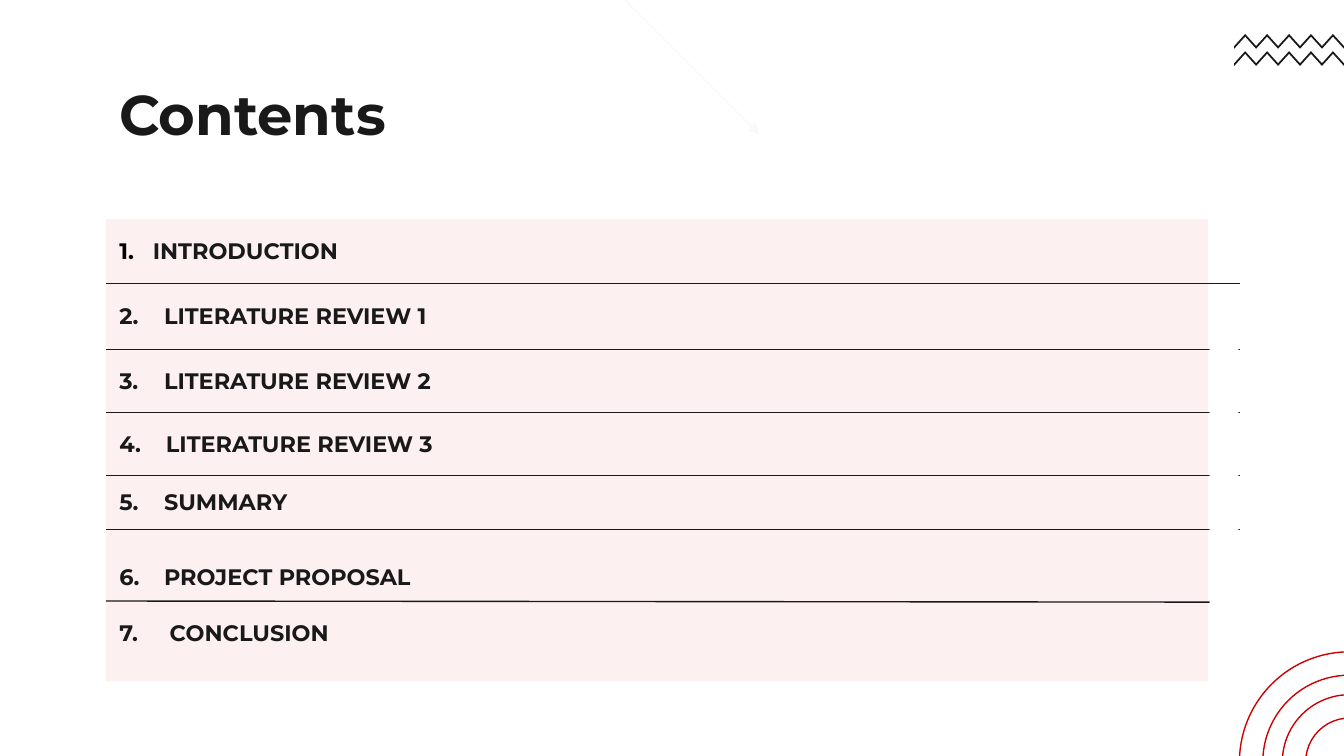
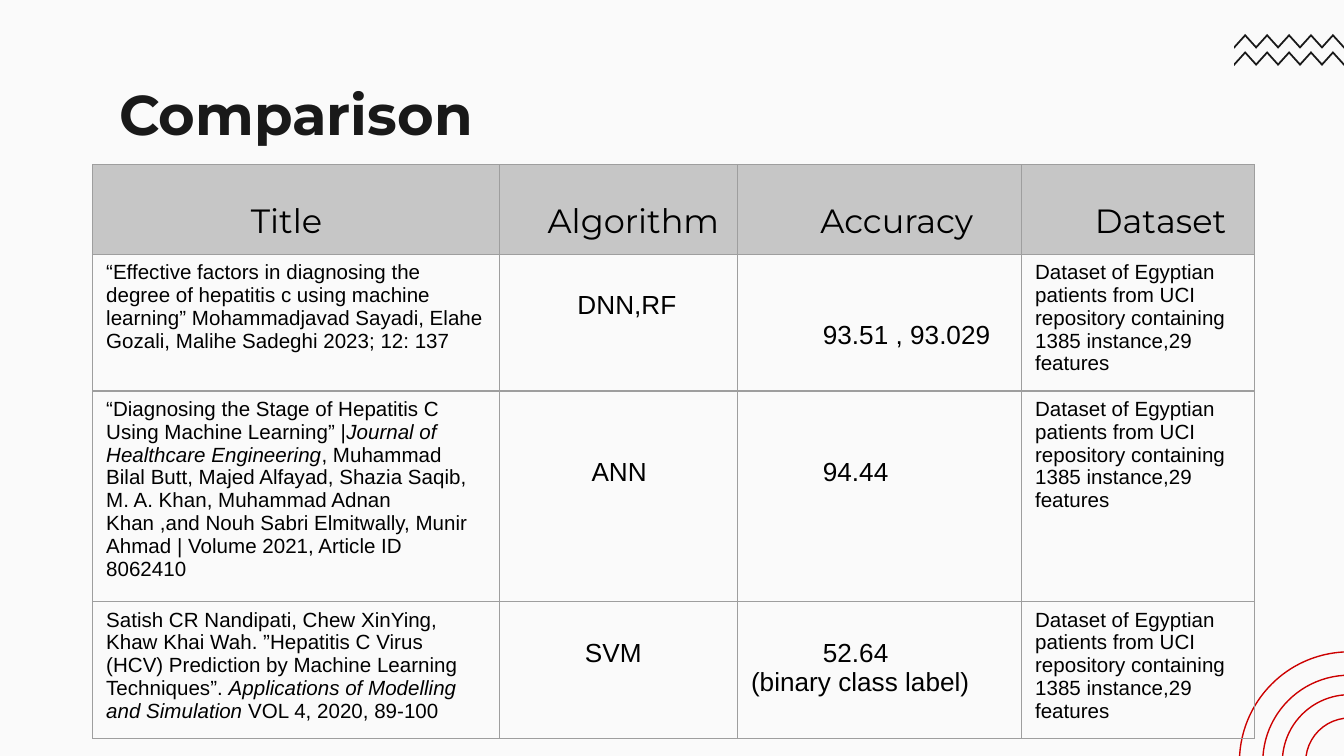
from dataclasses import dataclass

from lxml import etree
from pptx import Presentation
from pptx import util as u
from pptx.dml.color import RGBColor
from pptx.enum import shapes
from pptx.oxml.ns import qn

Pt = u.Pt

COLORS = {
    "ink": "191919",
    "black": "000000",
    "red": "CC0000",
    "white": "FFFFFF",
    "paper": "FAFAFA",
    "faint": "F9F9F9",
    "grid": "9E9E9E",
    "header": "C6C6C6",
}
HEADING_FONT, BODY_FONT = "Montserrat", "Arial"
HAIRLINE = 0.75
PLAIN_TABLE = "{2D5ABB26-0587-4C30-8999-92F81FD0307C}"
CELL_SIDE, CELL_TOP = 7.2, 3.6
BLANK_LINE = 16.1


@dataclass
class Style:
    size: float
    font: str = BODY_FONT
    color: str = "black"
    bold: bool = False


@dataclass
class Line:
    """A paragraph; pieces between asterisks are italic."""
    text: str
    style: Style
    indent: float = 0
    hanging: bool = False
    numbered: bool = False
    before: float = 0


@dataclass
class Entry:
    """Cell content pushed down by a number of line heights."""
    lines: list[Line]
    drop: int = 0


TITLE = Style(30, HEADING_FONT, "ink", True)
CHAPTER = Style(12, HEADING_FONT, "ink", True)
HEADER = Style(18, HEADING_FONT)
RESULT = Style(14)
DETAIL = Style(11)


def rgb(name: str) -> RGBColor:
    return RGBColor.from_string(COLORS[name])


def child(parent, tag: str, **attributes: str):
    return etree.SubElement(parent, qn(tag), attributes)


def write_lines(frame, lines: list[Line]) -> None:
    for index, line in enumerate(lines):
        paragraph = frame.add_paragraph() if index else frame.paragraphs[0]
        props = paragraph._p.get_or_add_pPr()
        props.set("marL", str(Pt(line.indent)))
        props.set("indent", str(-Pt(line.indent) if line.hanging else 0))
        if line.numbered:
            child(child(props, "a:buClr"), "a:srgbClr", val=COLORS["black"])
            child(props, "a:buAutoNum", type="arabicPeriod")
        else:
            child(props, "a:buNone")
            if line.hanging:
                child(child(props, "a:tabLst"), "a:tab", pos=str(Pt(line.indent)), algn="l")
        if line.before:
            paragraph.space_before = Pt(line.before)
        font = paragraph.font
        font.size, font.name, font.bold = Pt(line.style.size), line.style.font, line.style.bold
        font.color.rgb = rgb(line.style.color)
        for number, piece in enumerate(line.text.split("*")):
            run = paragraph.add_run()
            run.text = piece
            if number % 2:
                run.font.italic = True


def add_line(slide, start: tuple, end: tuple, color: str):
    line = slide.shapes.add_connector(shapes.MSO_CONNECTOR.STRAIGHT, *map(Pt, start + end))
    line.line.color.rgb = rgb(color)
    line.line.width = Pt(HAIRLINE)
    child(line._element.spPr, "a:effectLst")
    return line


def add_zigzag(slide, top: float) -> None:
    left, step, height, thickness = 661.2, 5.88, 6.5, 1.4
    upper = [(left + step * i, top + (0 if i % 2 else height)) for i in range(11)]
    lower = [(x, y + thickness) for x, y in reversed(upper)]
    outline = [(Pt(x), Pt(y)) for x, y in upper + lower]
    builder = slide.shapes.build_freeform(*outline[0])
    builder.add_line_segments(outline[1:], close=True)
    zigzag = builder.convert_to_shape()
    zigzag.shadow.inherit = False
    zigzag.fill.solid()
    zigzag.fill.fore_color.rgb = rgb("ink")
    zigzag.line.fill.background()


def add_ring(slide, diameter: float) -> None:
    center_x, center_y = 723, 408.2
    ring = slide.shapes.add_shape(
        shapes.MSO_SHAPE.OVAL, Pt(center_x - diameter / 2), Pt(center_y - diameter / 2),
        Pt(diameter), Pt(diameter))
    ring.shadow.inherit = False
    ring.fill.background()
    ring.line.color.rgb = rgb("red")
    ring.line.width = Pt(HAIRLINE)


def add_page(deck, heading: str, background: str):
    """Add a slide with the shared corner ornaments and title."""
    slide = deck.slides.add_slide(deck.slide_layouts[6])
    slide.background.fill.solid()
    slide.background.fill.fore_color.rgb = rgb(background)
    for top in (27.4, 18.2):
        add_zigzag(slide, top)
    for diameter in (118, 93, 72, 47):
        add_ring(slide, diameter)
    title = slide.shapes.add_textbox(Pt(56.7), Pt(35.3), Pt(607), Pt(45.4)).text_frame
    title.word_wrap = True
    title.margin_left = title.margin_right = title.margin_top = title.margin_bottom = Pt(7.2)
    write_lines(title, [Line(heading, TITLE)])
    return slide


def add_grid(slide, left: float, top: float, widths: list[float], heights: list[float]):
    """Add a table without any style of its own."""
    table = slide.shapes.add_table(
        len(heights), len(widths), Pt(left), Pt(top), Pt(sum(widths)), Pt(sum(heights))).table
    table.first_row = table.horz_banding = False
    table._tbl.tblPr.find(qn("a:tableStyleId")).text = PLAIN_TABLE
    for column, width in zip(table.columns, widths):
        column.width = Pt(width)
    for row, height in zip(table.rows, heights):
        row.height = Pt(height)
    return table


def style_cell(cell, sides: str, border: str, fill: str = "", alpha: int = 100) -> None:
    """Set fill and borders; sides is a subset of LRTB in that order."""
    if fill:
        cell.fill.solid()
        cell.fill.fore_color.rgb = rgb(fill)
    else:
        cell.fill.background()
    props = cell._tc.get_or_add_tcPr()
    if alpha < 100:
        child(props.find(".//" + qn("a:srgbClr")), "a:alpha", val=str(alpha * 1000))
    for position, side in enumerate(sides):
        edge = etree.Element(qn(f"a:ln{side}"), w=str(Pt(HAIRLINE)))
        child(child(edge, "a:solidFill"), "a:srgbClr", val=COLORS[border])
        props.insert(position, edge)


def add_contents(deck) -> None:
    slide = add_page(deck, "Contents", "white")

    def chapter(text: str, indent: float = 24, before: float = 0) -> Line:
        return Line(text, CHAPTER, indent, hanging=True, before=before)

    chapters = [
        [Line("INTRODUCTION", CHAPTER, 18, hanging=True, numbered=True)],
        [chapter("2.\tLITERATURE REVIEW 1")],
        [chapter("3.\tLITERATURE REVIEW 2")],
        [chapter("4.\tLITERATURE REVIEW 3", 25)],
        [chapter("5.\tSUMMARY")],
        [chapter("6.\tPROJECT PROPOSAL"), chapter("7.\tCONCLUSION", 27, 15)],
    ]
    table = add_grid(slide, 56.7, 117.4, [590.4, 16.6], [34.5, 35.3, 33.8, 33.8, 28.8, 81.4])
    last = len(chapters) - 1
    for row, lines in enumerate(chapters):
        sides = ("T" if row else "") + ("B" if row < last else "")
        entry, margin = table.cell(row, 0), table.cell(row, 1)
        style_cell(entry, sides, "ink", "red", 6)
        style_cell(margin, sides, "ink")
        entry.margin_top = entry.margin_bottom = 0
        entry.vertical_anchor = text_middle
        write_lines(entry.text_frame, lines)

    arrow = add_line(slide, (334.8, 0), (406.8, 72), "faint")
    child(arrow.line._get_or_add_ln(), "a:tailEnd", type="triangle")
    add_line(slide, (56.7, 322), (663, 322.6), "ink")
    cover = slide.shapes.add_shape(
        shapes.MSO_SHAPE.RECTANGLE, Pt(648), Pt(156.2), Pt(15.4), Pt(185.8))
    cover.shadow.inherit = False
    cover.fill.solid()
    cover.fill.fore_color.rgb = rgb("white")
    cover.line.fill.background()


def add_comparison(deck) -> None:
    slide = add_page(deck, "Comparison", "paper")

    def heading(text: str, indent: float) -> Entry:
        return Entry([Line(text, HEADER, indent)], 1)

    def result(text: str, indent: float, drop: int) -> Entry:
        return Entry([Line(text, RESULT, indent)], drop)

    def detail(text: str) -> Entry:
        return Entry([Line(text, DETAIL)])

    dataset = detail("Dataset of Egyptian patients from UCI repository containing "
                     "1385 instance,29 features")
    score_indent = 38.5
    entries = [
        [heading("Title", 77.5), heading("Algorithm", 18.5),
         heading("Accuracy", 37.2), heading("Dataset", 32)],
        [detail("“Effective factors in diagnosing the degree of hepatitis c using machine "
                "learning” Mohammadjavad Sayadi, Elahe Gozali, Malihe Sadeghi 2023; 12: 137"),
         result("DNN,RF", 34.5, 1), result("93.51 , 93.029", score_indent, 2), dataset],
        [detail("“Diagnosing the Stage of Hepatitis C Using Machine Learning” |"
                "*Journal of Healthcare Engineering*, Muhammad Bilal Butt, Majed Alfayad, "
                "Shazia Saqib, M. A. Khan, Muhammad Adnan Khan ,and Nouh Sabri Elmitwally, "
                "Munir Ahmad | Volume 2021, Article ID 8062410"),
         result("ANN", 42, 2), result("94.44", score_indent, 2), dataset],
        [detail("Satish CR Nandipati, Chew XinYing, Khaw Khai Wah. ”Hepatitis C Virus (HCV) "
                "Prediction by Machine Learning Techniques”. "
                "*Applications of Modelling and Simulation* VOL 4, 2020, 89-100"),
         result("SVM", 38.5, 1),
         Entry([Line("52.64", RESULT, score_indent), Line("(binary class label)", RESULT)], 1),
         dataset],
    ]
    table = add_grid(slide, 49.7, 88.2, [218, 127.5, 152.2, 124.8], [48, 72.3, 105, 72.3])
    for row, row_entries in enumerate(entries):
        for column, entry in enumerate(row_entries):
            cell = table.cell(row, column)
            style_cell(cell, "LRTB", "grid", "" if row else "header")
            cell.margin_left = cell.margin_right = Pt(CELL_SIDE)
            cell.margin_top = Pt(CELL_TOP + entry.drop * BLANK_LINE)
            cell.margin_bottom = Pt(CELL_TOP)
            write_lines(cell.text_frame, entry.lines)


def main() -> None:
    deck = Presentation()
    deck.slide_width, deck.slide_height = Pt(720), Pt(405)
    add_contents(deck)
    add_comparison(deck)
    deck.save("out.pptx")


from pptx.enum import text
text_middle = text.MSO_ANCHOR.MIDDLE

if __name__ == "__main__":
    main()
